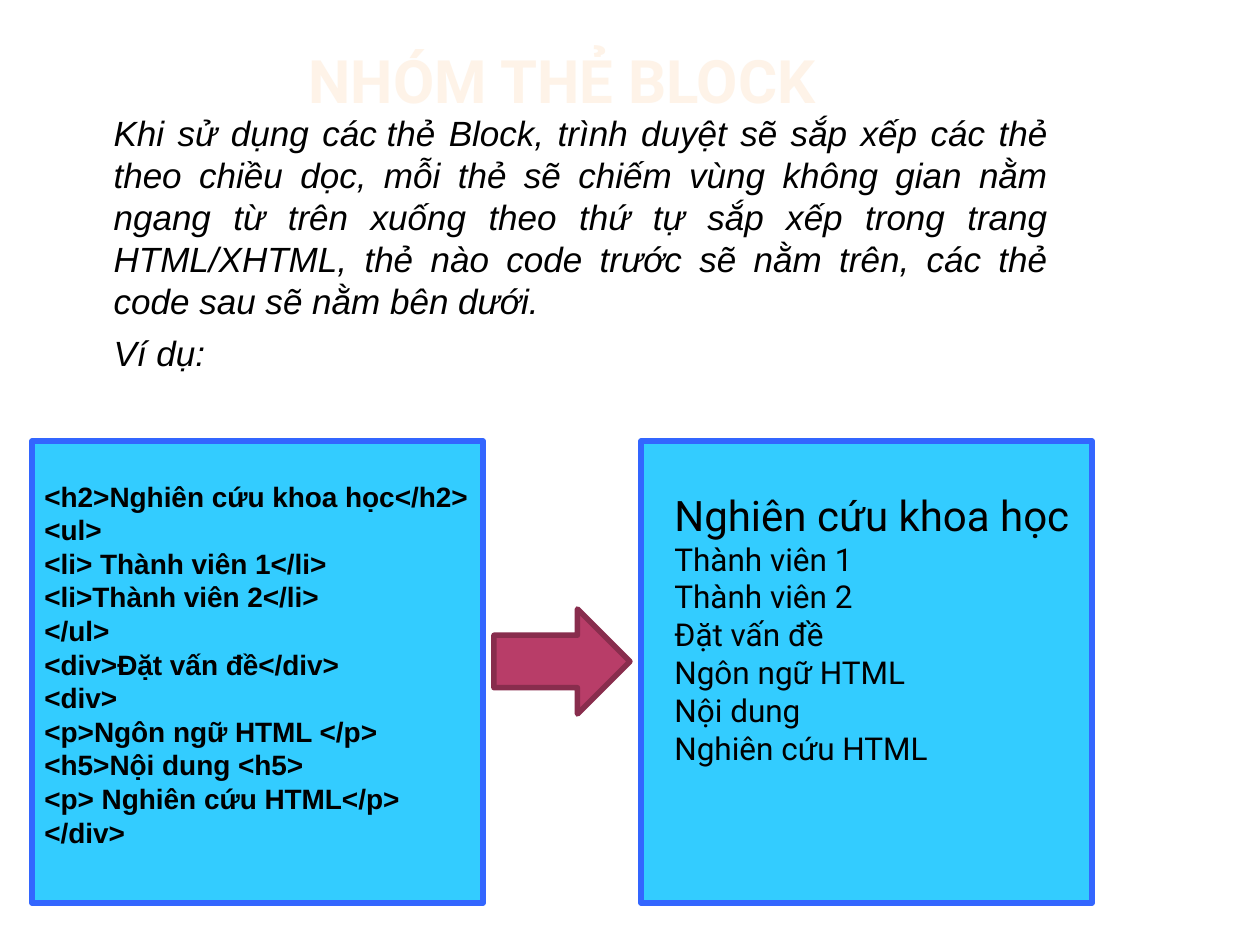
from dataclasses import dataclass

from lxml.etree import SubElement
from pptx import Presentation
from pptx.dml.color import RGBColor
from pptx.enum.shapes import MSO_SHAPE as Preset
from pptx.enum.text import MSO_ANCHOR as Anchor, MSO_AUTO_SIZE as AutoSize, PP_ALIGN as Align
from pptx.oxml.ns import qn
from pptx.util import Emu, Pt

SCALE = 914400 // 126  # EMU in one px


@dataclass(frozen=True)
class Theme:
    title_color: str = "FEF3E8"
    text_color: str = "000000"
    panel_fill: str = "33CCFF"
    panel_line: str = "3366FF"
    arrow_fill: str = "B83D68"
    arrow_line: str = "882D4D"
    heading_font: str = "Roboto"
    body_font: str = "Arial"
    title_size: float = 34.2
    heading_size: int = 24
    body_size: int = 20
    result_size: int = 18
    code_size: int = 16
    line_width: float = 3.15


theme = Theme()


def px(*lengths):
    return [Emu(length * SCALE) for length in lengths]


def style(paragraph, name, size, color=theme.text_color, bold=False, italic=False):
    font = paragraph.font
    font.name, font.size, font.bold, font.italic = name, Pt(size), bold, italic
    font.color.rgb = RGBColor.from_string(color)


presentation = Presentation()
presentation.slide_width, presentation.slide_height = px(1260, 945)
slide = presentation.slides.add_slide(presentation.slide_layouts[1])
title, body = slide.placeholders

# Title
title.left, title.top, title.width, title.height = px(63, 44, 998, 72)
frame = title.text_frame
frame.text = "NHÓM THẺ BLOCK"
frame.auto_size = AutoSize.NONE
frame.vertical_anchor = Anchor.BOTTOM
frame.margin_left, frame.margin_top, frame.margin_right, frame.margin_bottom = px(6, 0, 6, 0)
frame.paragraphs[0].alignment = Align.CENTER
style(frame.paragraphs[0], theme.heading_font, theme.title_size, theme.title_color, bold=True)

# Explanation, indented and without bullets
body.left, body.top, body.width, body.height = px(63, 105, 998, 336)
frame = body.text_frame
frame.text = (
    "Khi sử dụng các\u00a0thẻ Block, trình duyệt sẽ sắp xếp các thẻ theo chiều dọc, "
    "mỗi thẻ sẽ chiếm vùng không gian nằm ngang từ trên xuống theo thứ tự sắp xếp "
    "trong trang HTML/XHTML, thẻ nào code trước sẽ nằm trên, các thẻ code sau sẽ "
    "nằm bên dưới.\nVí dụ:"
)
frame.auto_size = AutoSize.NONE
for paragraph in frame.paragraphs:
    paragraph.alignment = Align.JUSTIFY
    paragraph.space_before = Pt(6)
    properties = paragraph._p.get_or_add_pPr()
    properties.set("marL", str(38 * SCALE))
    properties.set("indent", "0")
    SubElement(properties, qn("a:buNone"))
    style(paragraph, theme.body_font, theme.body_size, italic=True)

# Code panel, arrow, result panel
for preset, box, fill, line in (
    (Preset.RECTANGLE, (32, 441, 451, 462), theme.panel_fill, theme.panel_line),
    (Preset.RIGHT_ARROW, (494, 609, 136, 105), theme.arrow_fill, theme.arrow_line),
    (Preset.RECTANGLE, (641, 441, 451, 462), theme.panel_fill, theme.panel_line),
):
    shape = slide.shapes.add_shape(preset, *px(*box))
    shape.shadow.inherit = False
    shape.fill.solid()
    shape.fill.fore_color.rgb = RGBColor.from_string(fill)
    shape.line.color.rgb = RGBColor.from_string(line)
    shape.line.width = Pt(theme.line_width)

# Code and its result
code = """<h2>Nghiên cứu khoa học</h2>
<ul>
<li> Thành viên 1</li>
<li>Thành viên 2</li>
</ul>
<div>Đặt vấn đề</div>
<div>
<p>Ngôn ngữ HTML </p>
<h5>Nội dung <h5>
<p> Nghiên cứu HTML</p>
</div>"""
result = """Nghiên cứu khoa học
Thành viên 1
Thành viên 2
Đặt vấn đề
Ngôn ngữ HTML
Nội dung
Nghiên cứu HTML"""
for text, box, name, size, first_size, bold in (
    (code, (32, 473, 462, 386), theme.body_font, theme.code_size, theme.code_size, True),
    (result, (662, 483, 451, 292), theme.heading_font, theme.result_size, theme.heading_size, False),
):
    frame = slide.shapes.add_textbox(*px(*box)).text_frame
    frame.word_wrap = True
    frame.text = text
    for index, paragraph in enumerate(frame.paragraphs):
        style(paragraph, name, size if index else first_size, bold=bold)

presentation.save("out.pptx")
